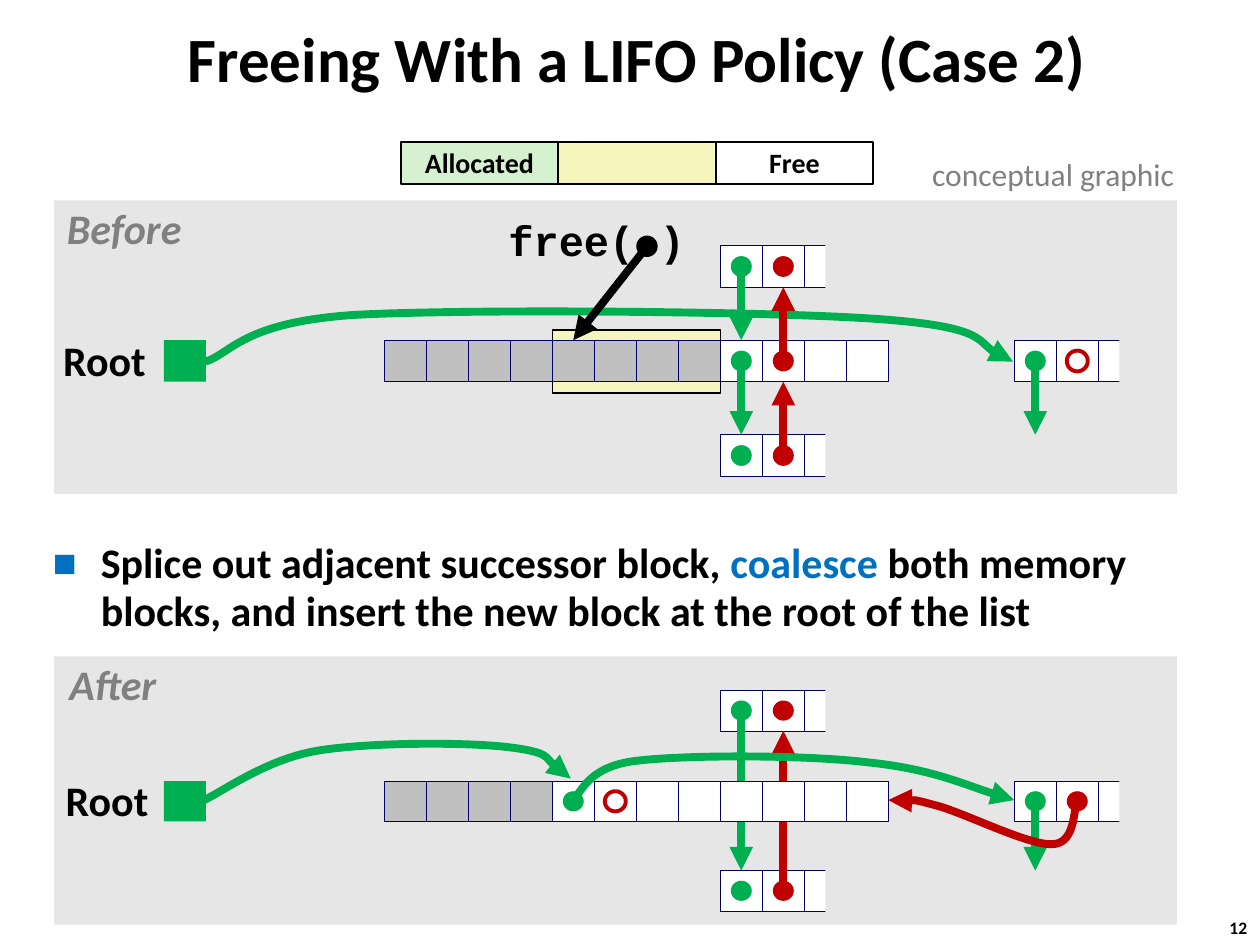
from lxml.etree import SubElement
from pptx import Presentation
from pptx.dml.color import RGBColor
from pptx.enum.shapes import MSO_CONNECTOR, MSO_SHAPE
from pptx.enum.text import MSO_ANCHOR, PP_ALIGN
from pptx.oxml.ns import qn
from pptx.util import Inches, Pt

BLACK = RGBColor(0x00, 0x00, 0x00)
WHITE = RGBColor(0xFF, 0xFF, 0xFF)
PANEL = RGBColor(0xE6, 0xE6, 0xE6)
GRAY = RGBColor(0x80, 0x80, 0x80)
USED = RGBColor(0xC0, 0xC0, 0xC0)
NAVY = RGBColor(0x00, 0x00, 0x66)
YELLOW = RGBColor(0xF6, 0xF5, 0xBD)
MINT = RGBColor(0xD5, 0xF1, 0xCF)
GREEN = RGBColor(0x00, 0xB0, 0x50)
RED = RGBColor(0xC0, 0x00, 0x00)
BLUE = RGBColor(0x00, 0x70, 0xC0)

CELL = 1 / 3            # width of one memory word
HEAP_LEFT = 3.05        # left edge of column 0
NEXT, PREVIOUS = 8, 9   # columns of the pointers in the free block
LIST_HEAD = 15          # column of the block at the head of the list


def column_left(column):
    return HEAP_LEFT + column * CELL


class SlideBuilder:
    font = "Calibri"
    pointer_width = 4.5

    def __init__(self, slide):
        self.slide = slide

    def add_run(self, paragraph, text, size, color=BLACK, bold=True, italic=False, font=None):
        run = paragraph.add_run()
        run.text = text
        run.font.name = font or self.font
        run.font.size = Pt(size)
        run.font.bold = bold
        run.font.italic = italic
        run.font.color.rgb = color

    def place(self, placeholder, left, top, width, height, anchor, line_spacing, indent):
        """Move a placeholder and return its first paragraph, with a hanging indent."""
        placeholder.left, placeholder.top = Inches(left), Inches(top)
        placeholder.width, placeholder.height = Inches(width), Inches(height)
        placeholder.text_frame.vertical_anchor = anchor
        paragraph = placeholder.text_frame.paragraphs[0]
        paragraph.line_spacing = line_spacing
        paragraph.space_before = Pt(0)
        properties = paragraph._p.get_or_add_pPr()
        properties.set("marL", str(Inches(indent)))
        properties.set("indent", str(-Inches(indent)))
        return paragraph

    def add_bullet(self, paragraph, character, color, percent):
        properties = paragraph._p.get_or_add_pPr()
        bullet_color = SubElement(properties, qn("a:buClr"))
        SubElement(bullet_color, qn("a:srgbClr"), val=str(color))
        SubElement(properties, qn("a:buSzPct"), val=str(percent * 1000))
        SubElement(properties, qn("a:buFont"), typeface=self.font)
        SubElement(properties, qn("a:buChar"), char=character)

    def add_label(self, text, left, top, width, height, size=24, inset=0.05,
                  align=PP_ALIGN.CENTER, line_spacing=0.9, **style):
        frame = self.slide.shapes.add_textbox(
            Inches(left), Inches(top), Inches(width), Inches(height)).text_frame
        frame.word_wrap = False
        frame.margin_left = frame.margin_right = Inches(max(inset, 0.05))
        frame.margin_top = frame.margin_bottom = Inches(0.05)
        paragraph = frame.paragraphs[0]
        paragraph.alignment = align
        paragraph.line_spacing = line_spacing
        self.add_run(paragraph, text, size, **style)

    def add_shape(self, left, top, width, height, fill=None, line=None, line_width=0.25,
                  kind=MSO_SHAPE.RECTANGLE):
        shape = self.slide.shapes.add_shape(
            kind, Inches(left), Inches(top), Inches(width), Inches(height))
        self.paint(shape, fill, line, line_width)
        return shape

    def paint(self, shape, fill, line, line_width):
        shape.shadow.inherit = False
        if fill is None:
            shape.fill.background()
        else:
            shape.fill.solid()
            shape.fill.fore_color.rgb = fill
        if line is None:
            shape.line.fill.background()
        else:
            shape.line.color.rgb = line
            shape.line.width = Pt(line_width)

    def add_legend_box(self, left, fill, text=None):
        shape = self.add_shape(left, 1.13, 1.25, 0.33, fill, BLACK, 1)
        if text:
            frame = shape.text_frame
            frame.word_wrap = False
            frame.vertical_anchor = MSO_ANCHOR.MIDDLE
            frame.margin_top = frame.margin_bottom = Inches(0.05)
            paragraph = frame.paragraphs[0]
            paragraph.alignment = PP_ALIGN.CENTER
            paragraph.line_spacing = 0.98
            self.add_run(paragraph, text, 16)

    def add_cells(self, first, count, top, height, fill=WHITE):
        return [self.add_shape(column_left(first + i), top, CELL, height, fill, NAVY)
                for i in range(count)]

    def add_cut_block(self, first, top, height):
        """A block of which only two and a half words show."""
        cells = self.add_cells(first, 3, top, height)
        self.add_shape(column_left(first + 2.5), top - 0.08, CELL, 1.5 * height, PANEL)
        return cells

    def add_dot(self, column, top, height, color, hollow=False):
        """A pointer's origin in a cell; returns its centre."""
        center_x, center_y = column_left(column + 0.5), top + height / 2
        self.add_shape(center_x - CELL / 4, center_y - height / 4, CELL / 2, height / 2,
                       None if hollow else color, color if hollow else None, 2.25,
                       MSO_SHAPE.OVAL)
        return center_x, center_y

    def add_arrowhead(self, shape):
        SubElement(shape.line._get_or_add_ln(), qn("a:tailEnd"), type="triangle")

    def add_arrow(self, start, end, color, target=None, site=0):
        connector = self.slide.shapes.add_connector(
            MSO_CONNECTOR.STRAIGHT, *(Inches(value) for value in (*start, *end)))
        if target is not None:
            connector.end_connect(target, site)
        connector.line.color.rgb = color
        connector.line.width = Pt(self.pointer_width)
        self.add_arrowhead(connector)
        SubElement(connector._element.spPr, qn("a:effectLst"))

    def add_curve(self, points, color):
        """A start point, then three points for each cubic segment."""
        start, *rest = [(Inches(x), Inches(y)) for x, y in points]
        builder = self.slide.shapes.build_freeform(*start)
        builder.add_line_segments(rest, close=False)
        shape = builder.convert_to_shape()
        segments = list(shape._element.iter(qn("a:lnTo")))
        outline = segments[0].getparent()
        for i in range(0, len(segments), 3):
            cubic = SubElement(outline, qn("a:cubicBezTo"))
            for segment in segments[i:i + 3]:
                cubic.append(segment[0])
                outline.remove(segment)
        self.paint(shape, None, color, self.pointer_width)
        self.add_arrowhead(shape)


def draw_before(builder):
    height = 0.33
    upper, middle, lower = 1.95, 2.7, 3.45
    builder.add_shape(0.43, 1.59, 8.91, 2.33, PANEL)
    builder.add_shape(column_left(4), 2.62, 4 * CELL, 0.5, YELLOW, BLACK, 0.75)
    builder.add_curve([(1.63, 2.87), (1.83, 2.81), (1.92, 2.56), (2.8, 2.5),
                       (3.69, 2.45), (6.06, 2.47), (6.94, 2.53),
                       (7.81, 2.59), (7.81, 2.8), (8.04, 2.87)], GREEN)
    # Heap words and list blocks
    heap = (builder.add_cells(0, 8, middle, height, USED)
            + builder.add_cells(8, 4, middle, height))
    above = builder.add_cut_block(NEXT, upper, height)
    below = builder.add_cut_block(NEXT, lower, height)
    builder.add_cut_block(LIST_HEAD, middle, height)
    builder.add_shape(1.3, middle, CELL, height, GREEN)
    # Next and previous pointers
    for top, target in ((upper, heap[NEXT]), (middle, below[0])):
        start = builder.add_dot(NEXT, top, height, GREEN)
        builder.add_arrow(start, (start[0], top + 0.75), GREEN, target, 0)
    for top, target in ((lower, heap[PREVIOUS]), (middle, above[1])):
        start = builder.add_dot(PREVIOUS, top, height, RED)
        builder.add_arrow(start, (start[0], top - 0.42), RED, target, 2)
    builder.add_dot(NEXT, lower, height, GREEN)
    builder.add_dot(PREVIOUS, upper, height, RED)
    start = builder.add_dot(LIST_HEAD, middle, height, GREEN)
    builder.add_arrow(start, (start[0], lower), GREEN)
    builder.add_dot(LIST_HEAD + 1, middle, height, RED, hollow=True)
    # The call to free and the labels
    builder.add_label("free( )", 3.98, 1.7, 1.51, 0.47, font="Courier New")
    builder.add_shape(5.05, 1.87, 0.17, 0.17, BLACK, kind=MSO_SHAPE.OVAL)
    builder.add_arrow((5.14, 1.95), (4.55, middle), BLACK, heap[4], 0)
    builder.add_label("Root", 0.45, 2.65, 0.76, 0.47)
    builder.add_label("Before", 0.47, 1.6, 1.03, 0.47, color=GRAY, italic=True)


def draw_after(builder):
    height = 0.32
    upper, middle, lower = 5.48, 6.2, 6.91
    builder.add_shape(0.43, 5.21, 8.91, 2.13, PANEL)
    # Spliced pointers pass behind the coalesced block
    above = builder.add_cut_block(NEXT, upper, height)
    below = builder.add_cut_block(NEXT, lower, height)
    start = builder.add_dot(PREVIOUS, lower, height, RED)
    builder.add_arrow(start, (start[0], upper + height), RED, above[1], 2)
    start = builder.add_dot(NEXT, upper, height, GREEN)
    builder.add_arrow(start, (start[0], lower), GREEN, below[0], 0)
    builder.add_dot(NEXT, lower, height, GREEN)
    builder.add_dot(PREVIOUS, upper, height, RED)
    # Heap words and list blocks
    builder.add_cells(0, 4, middle, height, USED)
    builder.add_cells(4, 8, middle, height)
    builder.add_cut_block(LIST_HEAD, middle, height)
    builder.add_shape(1.3, middle, CELL, height, GREEN)
    # New list pointers
    builder.add_dot(4, middle, height, GREEN)
    builder.add_dot(5, middle, height, RED, hollow=True)
    start = builder.add_dot(LIST_HEAD, middle, height, GREEN)
    builder.add_arrow(start, (start[0], lower), GREEN)
    builder.add_dot(LIST_HEAD + 1, middle, height, RED)
    builder.add_curve([(4.54, 6.35), (4.62, 6.3), (4.65, 6.09), (5.04, 6.04),
                       (5.43, 5.99), (6.38, 5.99), (6.88, 6.05),
                       (7.38, 6.1), (7.81, 6.29), (8.05, 6.35)], GREEN)
    builder.add_curve([(8.55, 6.35), (8.52, 6.41), (8.54, 6.7), (8.35, 6.7),
                       (8.16, 6.71), (7.63, 6.44), (7.42, 6.39),
                       (7.2, 6.33), (7.13, 6.36), (7.05, 6.35)], RED)
    builder.add_curve([(1.62, 6.35), (1.77, 6.28), (2.11, 6.03), (2.51, 5.96),
                       (2.92, 5.89), (3.7, 5.89), (4.03, 5.93),
                       (4.37, 5.97), (4.43, 6.13), (4.53, 6.18)], GREEN)
    builder.add_label("Root", 0.47, 6.14, 0.76, 0.44)
    builder.add_label("After", 0.49, 5.22, 0.81, 0.44, color=GRAY, italic=True)


def main():
    presentation = Presentation()
    presentation.slide_width, presentation.slide_height = Inches(10), Inches(7.5)
    slide = presentation.slides.add_slide(presentation.slide_layouts[1])
    builder = SlideBuilder(slide)

    # Title and list
    title = builder.place(slide.shapes.title, 0.29, 0.07, 9.53, 0.86,
                          MSO_ANCHOR.MIDDLE, 0.87, 0.13)
    title.alignment = PP_ALIGN.CENTER
    builder.add_run(title, "Freeing With a LIFO Policy (Case 2)", 36)
    body = builder.place(slide.placeholders[1], 0.32, 4.24, 9.09, 0.86,
                         MSO_ANCHOR.TOP, 0.95, 0.38)
    builder.add_bullet(body, "■", BLUE, 60)
    builder.add_run(body, "Splice out adjacent successor block, ", 24)
    builder.add_run(body, "coalesce", 24, BLUE)
    builder.add_run(body, " both memory blocks, and insert the new block "
                          "at the root of the list", 24)

    draw_before(builder)
    draw_after(builder)

    # Legend, note and page number
    builder.add_legend_box(4.43, YELLOW)
    builder.add_legend_box(3.18, MINT, "Allocated")
    builder.add_legend_box(5.68, WHITE, "Free")
    plain = {"inset": 0.1, "align": PP_ALIGN.LEFT, "line_spacing": 1.0}
    builder.add_label("conceptual graphic", 7.3, 1.18, 2.17, 0.4, 18,
                      color=GRAY, bold=False, **plain)
    builder.add_label("12", 9.66, 7.23, 0.37, 0.27, 10, **plain)

    presentation.save("out.pptx")


if __name__ == "__main__":
    main()
